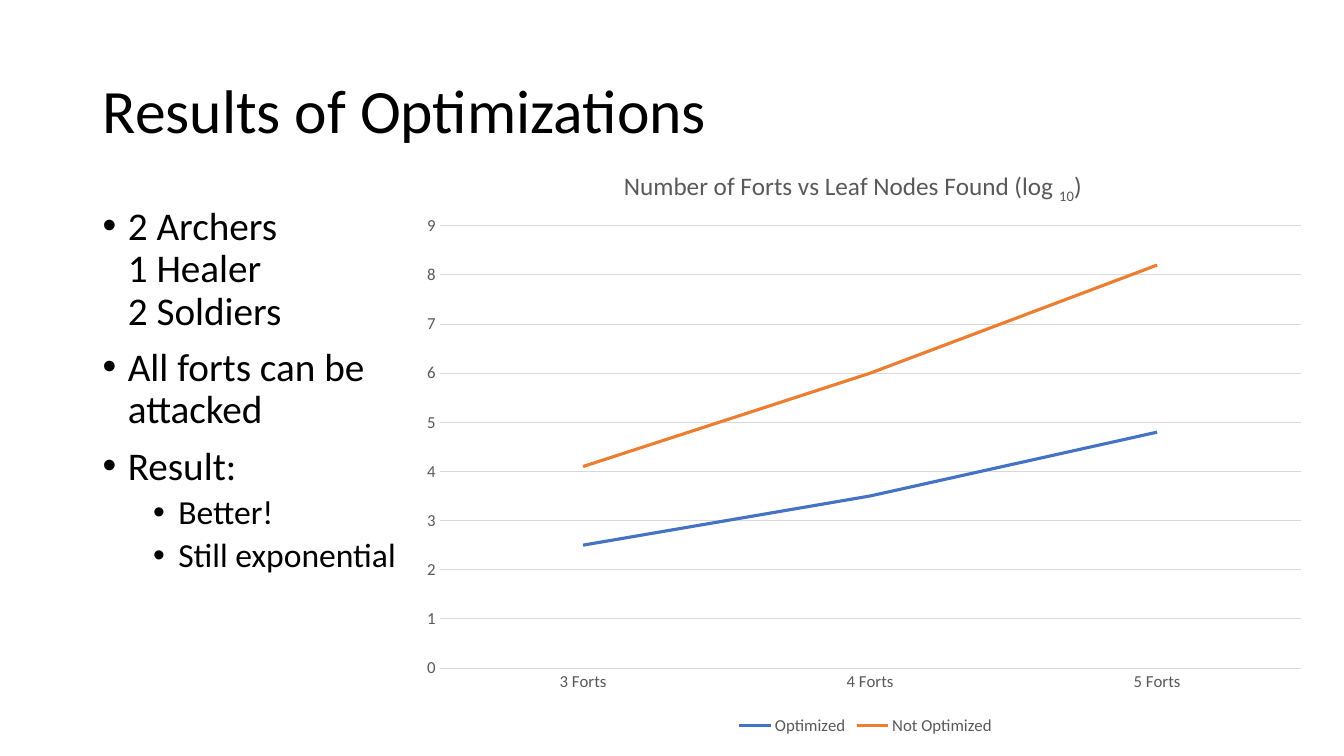
from lxml import etree
from pptx import Presentation
from pptx import util as u
from pptx.chart.data import CategoryChartData
from pptx.dml.color import RGBColor
from pptx.enum import chart as ch, text
from pptx.oxml import parse_xml
from pptx.oxml.ns import nsdecls, qn

BLACK, GREY, RULE = "000000", "595959", "D9D9D9"
BLUE, ORANGE = "4472C4", "ED7D31"


def color(code):
    return RGBColor.from_string(code)


class Deck:
    face = "Calibri"

    def __init__(self):
        self.prs = Presentation()
        self.prs.slide_width = u.Inches(13.33)
        self.prs.slide_height = u.Inches(7.5)
        self.slide = self.prs.slides.add_slide(self.prs.slide_layouts[6])

    def style(self, font, size, code):
        font.name = self.face
        font.size = u.Pt(size)
        font.bold = False
        font.color.rgb = color(code)

    def box(self, area, anchor):
        frame = self.slide.shapes.add_textbox(*map(u.Inches, area)).text_frame
        frame.word_wrap = True
        frame.vertical_anchor = anchor
        return frame

    def fill(self, par, words, size):
        """Put styled words in a paragraph."""
        par.text = words
        par.line_spacing = 0.9
        self.style(par.font, size, BLACK)

    def title(self, words, area):
        frame = self.box(area, text.MSO_ANCHOR.MIDDLE)
        self.fill(frame.paragraphs[0], words, 44)

    def list(self, items, area):
        """Show (level, words) pairs as a bulleted list."""
        frame = self.box(area, text.MSO_ANCHOR.TOP)
        for i, (level, words) in enumerate(items):
            par = frame.add_paragraph() if i else frame.paragraphs[0]
            self.fill(par, words, 24 if level else 28)
            par.level = level
            par.space_before = u.Pt(5 if level else 10)
            props = par._p.get_or_add_pPr()
            props.set("marL", str(u.Inches(0.25 + 0.5 * level)))
            props.set("indent", str(u.Inches(-0.25)))
            bullet = parse_xml(f'<a:buChar {nsdecls("a")} char="•"/>')
            face = parse_xml(f'<a:buFont {nsdecls("a")} typeface="Arial"/>')
            rest = props.find(qn("a:defRPr"))
            for part in (face, bullet):
                if rest is None:
                    props.append(part)
                else:
                    rest.addprevious(part)

    def chart(self, cats, series, area):
        """Draw a line chart from (name, values, color) triples."""
        data = CategoryChartData()
        data.categories = cats
        for name, vals, _ in series:
            data.add_series(name, vals)
        chart = self.slide.shapes.add_chart(
            ch.XL_CHART_TYPE.LINE, *map(u.Inches, area), data).chart
        self.style(chart.font, 12, GREY)
        chart.plots[0].vary_by_categories = False
        for line, (_, _, code) in zip(chart.plots[0].series, series):
            line.smooth = False
            line.marker.style = ch.XL_MARKER_STYLE.NONE
            line.format.line.color.rgb = color(code)
            line.format.line.width = u.Pt(2.25)
        chart.has_legend = True
        chart.legend.position = ch.XL_LEGEND_POSITION.BOTTOM
        chart.legend.include_in_layout = False
        self.style(chart.legend.font, 12, GREY)
        self.axes(chart)
        return chart

    def axes(self, chart):
        cat, val = chart.category_axis, chart.value_axis
        for axis in (cat, val):
            axis.major_tick_mark = ch.XL_TICK_MARK.NONE
            self.style(axis.tick_labels.font, 12, GREY)
        val.minimum_scale, val.maximum_scale, val.major_unit = 0, 9, 1
        val.format.line.fill.background()
        val.has_major_gridlines = True
        for line in (cat.format.line, val.major_gridlines.format.line):
            line.color.rgb = color(RULE)
            line.width = u.Pt(0.75)

    def head(self, chart, parts):
        """Title the chart with (words, is subscript) runs."""
        chart.has_title = True
        par = chart.chart_title.text_frame.paragraphs[0]
        self.style(par.font, 18, GREY)
        for words, low in parts:
            run = par.add_run()
            run.text = words
            self.style(run.font, 18, GREY)
            if low:
                run._r.get_or_add_rPr().set("baseline", "-25000")
        chart.chart_title.include_in_layout = False

    def place(self, part, **spots):
        """Fix a chart part's place as shares of the chart's size."""
        for old in part.findall(qn("c:layout")):
            part.remove(old)
        layout = etree.Element(qn("c:layout"))
        manual = etree.SubElement(layout, qn("c:manualLayout"))
        rows = [("layoutTarget", "inner")] if "w" in spots else []
        rows += [("xMode", "edge"), ("yMode", "edge"), *spots.items()]
        for name, val in rows:
            etree.SubElement(manual, qn(f"c:{name}")).set("val", str(val))
        words = part.find(qn("c:tx"))
        part.insert(0 if words is None else 1, layout)


def main():
    deck = Deck()
    deck.title("Results of Optimizations", (0.92, 0.4, 11.5, 1.45))
    deck.list([
        (0, "2 Archers\v1 Healer\v2 Soldiers"),
        (0, "All forts can be attacked"),
        (0, "Result:"),
        (1, "Better!"),
        (1, "Still exponential"),
    ], (0.92, 2, 3.17, 4.76))
    chart = deck.chart(["3 Forts", "4 Forts", "5 Forts"], [
        ("Optimized", (2.5, 3.5, 4.8), BLUE),
        ("Not Optimized", (4.1, 6, 8.2), ORANGE),
    ], (4.09, 1.41, 8.99, 5.93))
    deck.head(chart, [("Number of Forts vs Leaf Nodes Found (log ", False),
                      ("10", True), (")", False)])
    area = chart._chartSpace.chart
    deck.place(area.find(qn("c:title")), x=0.23, y=0.04)
    deck.place(area.plotArea, x=0.03, y=0.14, w=0.95, h=0.74)
    deck.prs.save("out.pptx")


if __name__ == "__main__":
    main()
